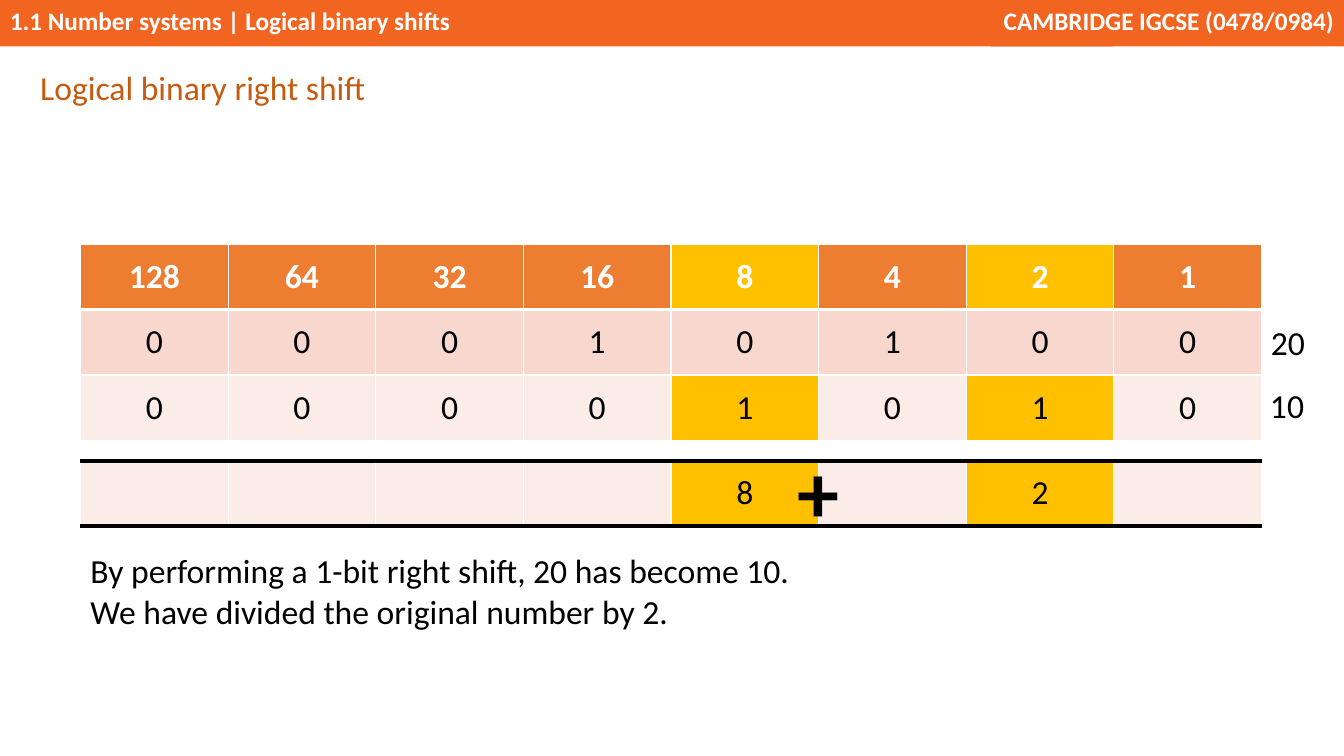
from dataclasses import dataclass

from lxml.etree import SubElement
from pptx import Presentation
from pptx.dml.color import RGBColor
from pptx.enum.shapes import MSO_SHAPE
from pptx.enum.text import MSO_ANCHOR, MSO_AUTO_SIZE, PP_ALIGN
from pptx.oxml.ns import qn
from pptx.slide import Slide
from pptx.table import _Cell
from pptx.text.text import _Paragraph
from pptx.util import Cm, Pt

BANNER = RGBColor(0xF2, 0x65, 0x21)
TITLE = RGBColor(0xC5, 0x5A, 0x11)
HEADER = RGBColor(0xED, 0x7D, 0x31)
HIGHLIGHT = RGBColor(0xFF, 0xC0, 0x00)
BAND_DARK = RGBColor(0xF8, 0xD7, 0xCE)
BAND_LIGHT = RGBColor(0xFC, 0xEC, 0xE8)
WHITE = RGBColor(0xFF, 0xFF, 0xFF)
BLACK = RGBColor(0x00, 0x00, 0x00)

FONT = "Calibri"
COLUMN_WIDTH = 3.72
HIGHLIGHTED_COLUMNS = (4, 6)


@dataclass(frozen=True)
class Box:
    left: float
    top: float
    width: float
    height: float

    def lengths(self) -> tuple[Cm, Cm, Cm, Cm]:
        return Cm(self.left), Cm(self.top), Cm(self.width), Cm(self.height)


@dataclass(frozen=True)
class Banner:
    text: str
    box: Box
    align: PP_ALIGN


@dataclass(frozen=True)
class Label:
    lines: tuple[str, ...]
    box: Box
    size: int = 24
    bold: bool = False
    align: PP_ALIGN = PP_ALIGN.LEFT
    wrap: bool = False


@dataclass(frozen=True)
class Row:
    values: tuple[str, ...]
    fill: RGBColor
    height: float = 1.65
    highlighted: bool = False
    header: bool = False
    top: tuple[RGBColor, int] = (WHITE, 1)
    bottom: tuple[RGBColor, int] = (WHITE, 1)


BANNERS = (
    Banner("1.1 Number systems | Logical binary shifts", Box(0, 0, 28.04, 1.17), PP_ALIGN.LEFT),
    Banner("CAMBRIDGE IGCSE (0478/0984)", Box(24.97, 0, 8.9, 1.17), PP_ALIGN.RIGHT),
)

WHITE_RULE = (WHITE, 3)
BLACK_RULE = (BLACK, 3)
BLANKS = ("",) * 8
ROWS = (
    Row(tuple(str(2**power) for power in range(7, -1, -1)), HEADER,
        highlighted=True, header=True, bottom=WHITE_RULE),
    Row(tuple(f"{20:08b}"), BAND_DARK, top=WHITE_RULE),
    Row(tuple(f"{10:08b}"), BAND_LIGHT, highlighted=True),
    Row(BLANKS, WHITE, height=0.51, bottom=BLACK_RULE),
    Row(("", "", "", "", "8", "", "2", ""), BAND_LIGHT,
        highlighted=True, top=BLACK_RULE, bottom=BLACK_RULE),
)

LABELS = (
    Label(("20",), Box(31.77, 7.98, 1.37, 1.27), align=PP_ALIGN.CENTER),
    Label(("10",), Box(31.75, 9.58, 1.37, 1.27), align=PP_ALIGN.CENTER),
    Label(("+",), Box(19.84, 10.95, 1.57, 2.82), size=60, bold=True),
    Label(("By performing a 1-bit right shift, 20 has become 10.",
           "We have divided the original number by 2."),
          Box(2.03, 13.74, 21.18, 2.31), wrap=True),
)


def write(paragraph: _Paragraph, text: str, size: int, color: RGBColor,
          bold: bool, align: PP_ALIGN) -> None:
    paragraph.alignment = align
    run = paragraph.add_run()
    run.text = text
    run.font.name = FONT
    run.font.size = Pt(size)
    run.font.bold = bold
    run.font.color.rgb = color


def add_banner(slide: Slide, banner: Banner) -> None:
    bar = slide.shapes.add_shape(MSO_SHAPE.RECTANGLE, *banner.box.lengths())
    bar.shadow.inherit = False
    bar.fill.solid()
    bar.fill.fore_color.rgb = BANNER
    bar.line.fill.background()
    bar.text_frame.vertical_anchor = MSO_ANCHOR.TOP
    write(bar.text_frame.paragraphs[0], banner.text, 18, WHITE, True, banner.align)


def set_title(slide: Slide, text: str, box: Box) -> None:
    title = slide.shapes.title
    title.left, title.top, title.width, title.height = box.lengths()
    frame = title.text_frame
    frame.auto_size = MSO_AUTO_SIZE.NONE
    frame.vertical_anchor = MSO_ANCHOR.TOP
    heading = frame.paragraphs[0]
    heading.line_spacing = 1.07
    write(heading, text, 24, TITLE, False, PP_ALIGN.LEFT)


def add_label(slide: Slide, label: Label) -> None:
    frame = slide.shapes.add_textbox(*label.box.lengths()).text_frame
    frame.word_wrap = label.wrap
    for index, line in enumerate(label.lines):
        paragraph = frame.add_paragraph() if index else frame.paragraphs[0]
        write(paragraph, line, label.size, BLACK, label.bold, label.align)


def set_borders(cell: _Cell, row: Row) -> None:
    properties = cell._tc.get_or_add_tcPr()
    side = (WHITE, 1)
    edges = {"a:lnL": side, "a:lnR": side, "a:lnT": row.top, "a:lnB": row.bottom}
    for tag, (color, width) in edges.items():
        edge = SubElement(properties, qn(tag), w=str(Pt(width)))
        fill = SubElement(edge, qn("a:solidFill"))
        SubElement(fill, qn("a:srgbClr"), val=str(color))


def fill_cell(cell: _Cell, row: Row, column: int) -> None:
    set_borders(cell, row)
    marked = row.highlighted and column in HIGHLIGHTED_COLUMNS
    cell.fill.solid()
    cell.fill.fore_color.rgb = HIGHLIGHT if marked else row.fill
    cell.vertical_anchor = MSO_ANCHOR.MIDDLE
    paragraph = cell.text_frame.paragraphs[0]
    if row.values[column]:
        color = WHITE if row.header else BLACK
        write(paragraph, row.values[column], 24, color, row.header, PP_ALIGN.CENTER)
    else:
        cell.margin_top = cell.margin_bottom = 0
        SubElement(paragraph._p, qn("a:endParaRPr"), sz="800")


def add_shift_table(slide: Slide) -> None:
    columns = len(BLANKS)
    box = Box(2.03, 6.15, COLUMN_WIDTH * columns, sum(row.height for row in ROWS))
    table = slide.shapes.add_table(len(ROWS), columns, *box.lengths()).table
    for column in table.columns:
        column.width = Cm(COLUMN_WIDTH)
    for index, row in enumerate(ROWS):
        table.rows[index].height = Cm(row.height)
        for column in range(columns):
            fill_cell(table.cell(index, column), row, column)


def main() -> None:
    """Build the slide on the logical binary right shift."""
    presentation = Presentation()
    presentation.slide_width = Cm(33.87)
    presentation.slide_height = Cm(19.05)
    slide = presentation.slides.add_slide(presentation.slide_layouts[5])
    for banner in BANNERS:
        add_banner(slide, banner)
    set_title(slide, "Logical binary right shift", Box(0.76, 1.5, 18.85, 1.3))
    add_shift_table(slide)
    for label in LABELS:
        add_label(slide, label)
    presentation.save("out.pptx")


if __name__ == "__main__":
    main()
